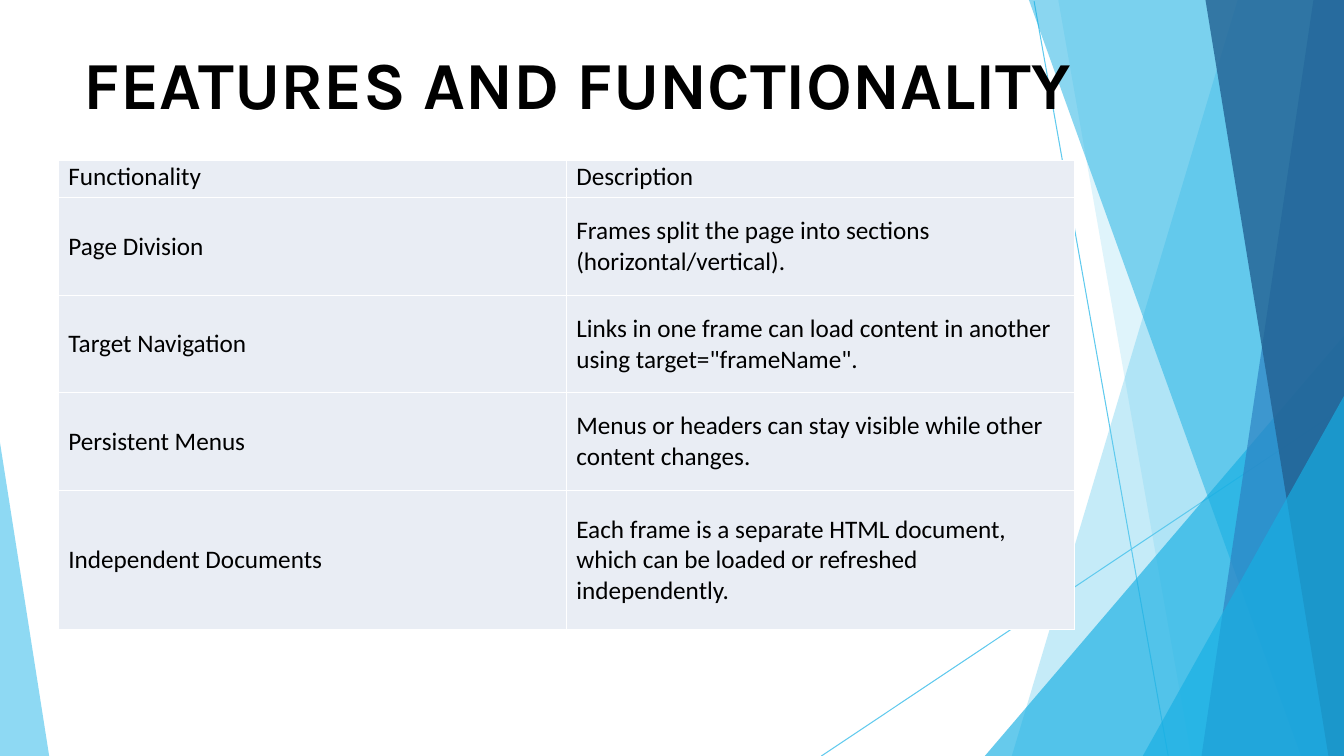
import lxml.etree
import pptx
import pptx.dml.color
import pptx.enum.text
import pptx.oxml.ns
import pptx.util

Cm, Pt = pptx.util.Cm, pptx.util.Pt
Anchor = pptx.enum.text.MSO_ANCHOR
qn = pptx.oxml.ns.qn

WIDTH, HEIGHT = 33.87, 19.05
SKY, CYAN, BLUE, NAVY = "5FCAEE", "17AFE3", "2D83C3", "226192"
BLACK, WHITE, CELL_FILL = "000000", "FFFFFF", "E9EDF4"

# start (x, y), end (x, y)
THIN_LINES = [
    ((26.06, 0.03), (29.44, HEIGHT)),
    ((WIDTH, 10.26), (20.7, HEIGHT)),
]

# outline, colour, opacity in percent; right-hand facets are closed along the right edge
RIGHT_FACETS = [
    ([(WIDTH, 0), (31.19, 0), (25.5, HEIGHT)], SKY, 36),
    ([(WIDTH, 0), (26.67, 0), (30.02, HEIGHT)], SKY, 20),
    ([(WIDTH, 8.46), (24.82, HEIGHT)], CYAN, 66),
    ([(WIDTH, 0), (25.93, 0), (32.79, HEIGHT)], CYAN, 50),
    ([(WIDTH, 0), (33.1, 0), (30.28, HEIGHT)], BLUE, 70),
    ([(WIDTH, 0), (30.38, 0), (33.48, HEIGHT)], NAVY, 80),
    ([(WIDTH, 9.98), (28.8, HEIGHT)], CYAN, 66),
]
LEFT_FACET = ([(0, 11.15), (0, HEIGHT), (1.24, HEIGHT)], SKY, 70)

ROW_HEIGHTS = [0.94, 2.46, 2.46, 2.46, 3.51]
ROWS = [
    ("Functionality", "Description"),
    ("Page Division", "Frames split the page into sections (horizontal/vertical)."),
    ("Target Navigation",
     'Links in one frame can load content in another using target="frameName".'),
    ("Persistent Menus", "Menus or headers can stay visible while other content changes."),
    ("Independent Documents",
     "Each frame is a separate HTML document, which can be loaded or refreshed independently."),
]


def color(hex_string):
    return pptx.dml.color.RGBColor.from_string(hex_string)


def set_attributes(target, values):
    for name, value in values.items():
        setattr(target, name, value)


def add_text(text_frame, text, font_name, size, bold):
    run = text_frame.paragraphs[0].add_run()
    run.text = text
    set_attributes(run.font, {"name": font_name, "size": Pt(size), "bold": bold})
    run.font.color.rgb = color(BLACK)


def add_thin_line(slide, box, start, end):
    left, top = box[:2]
    connector = slide.shapes.add_connector(
        pptx.enum.shapes.MSO_CONNECTOR.STRAIGHT,
        Cm(left + start[0]), Cm(top + start[1]), Cm(left + end[0]), Cm(top + end[1]))
    connector.line.width = Pt(0.75)
    connector.line.color.rgb = color(SKY)
    lxml.etree.SubElement(connector._element.spPr, qn("a:effectLst"))


def add_facet(slide, box, points, fill, opacity):
    left, top = box[:2]
    corners = [(Cm(left + x), Cm(top + y)) for x, y in points]
    builder = slide.shapes.build_freeform(*corners[0])
    builder.add_line_segments(corners[1:], close=True)
    shape = builder.convert_to_shape()
    shape.shadow.inherit = False
    shape.line.fill.background()
    shape.fill.solid()
    shape.fill.fore_color.rgb = color(fill)
    color_element = shape._element.spPr.find(qn("a:solidFill"))[0]
    lxml.etree.SubElement(color_element, qn("a:alpha"), val=str(opacity * 1000))


def add_backdrop(slide, box):
    """Draw the thin lines and the translucent facets at the slide edges."""
    for start, end in THIN_LINES:
        add_thin_line(slide, box, start, end)
    for points, fill, opacity in RIGHT_FACETS:
        add_facet(slide, box, points + [(WIDTH, HEIGHT)], fill, opacity)
    add_facet(slide, box, *LEFT_FACET)


def add_title(slide, box, text):
    text_frame = slide.shapes.add_textbox(*map(Cm, box)).text_frame
    set_attributes(text_frame, {
        "word_wrap": True, "vertical_anchor": Anchor.TOP,
        "margin_left": 0, "margin_top": 0, "margin_right": 0, "margin_bottom": 0})
    add_text(text_frame, text, "Karla", 48, True)


def add_cell_borders(cell):
    properties = cell._tc.get_or_add_tcPr()
    for index, side in enumerate(("lnL", "lnR", "lnT", "lnB")):
        border = lxml.etree.Element(qn("a:" + side), w=str(Pt(1)))
        fill = lxml.etree.SubElement(border, qn("a:solidFill"))
        lxml.etree.SubElement(fill, qn("a:srgbClr"), val=WHITE)
        properties.insert(index, border)


def add_feature_table(slide, box):
    table = slide.shapes.add_table(len(ROWS), len(ROWS[0]), *map(Cm, box)).table
    set_attributes(table, {"first_row": False, "horz_banding": False})
    for column in table.columns:
        column.width = Cm(box[2] / len(ROWS[0]))
    for row_index, (height, texts) in enumerate(zip(ROW_HEIGHTS, ROWS)):
        table.rows[row_index].height = Cm(height)
        for column_index, text in enumerate(texts):
            cell = table.cell(row_index, column_index)
            cell.fill.solid()
            cell.fill.fore_color.rgb = color(CELL_FILL)
            add_cell_borders(cell)
            add_text(cell.text_frame, text, "Calibri", 18, False)
            cell.vertical_anchor = Anchor.MIDDLE
            if row_index == 0:
                cell.vertical_anchor = Anchor.BOTTOM
                cell.text_frame.paragraphs[0].line_spacing = Pt(12)


def main():
    presentation = pptx.Presentation()
    set_attributes(presentation, {"slide_width": Cm(WIDTH), "slide_height": Cm(HEIGHT)})
    slide = presentation.slides.add_slide(presentation.slide_layouts[6])
    add_backdrop(slide, (0, 0, WIDTH, HEIGHT))
    add_title(slide, (2.11, 1.07, 29.67, 2.11), "FEATURES AND FUNCTIONALITY")
    add_feature_table(slide, (1.47, 4.04, 25.6, sum(ROW_HEIGHTS)))
    presentation.save("out.pptx")


if __name__ == "__main__":
    main()
